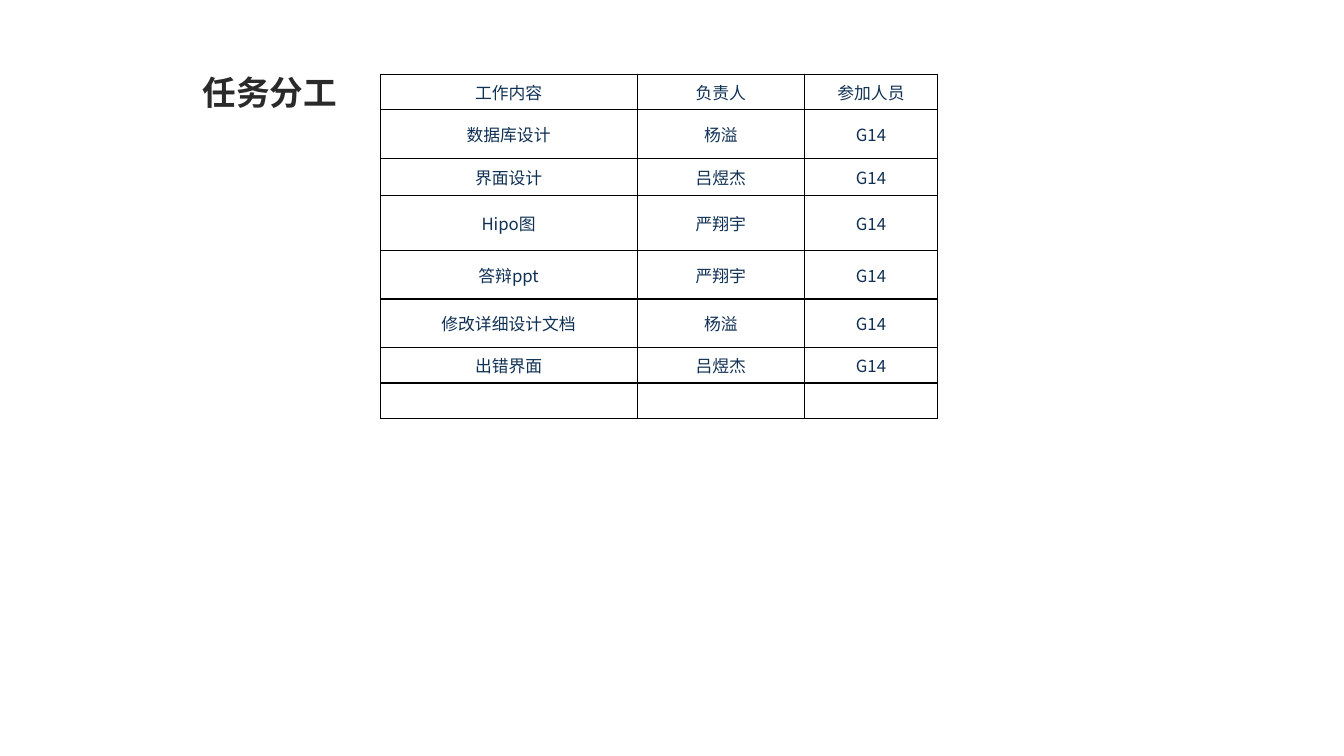
import pptx
import pptx.dml.color
import pptx.enum.text
import pptx.oxml.ns
import pptx.util
from lxml import etree

TEAM = "G14"
HEADINGS = ("工作内容", "负责人", "参加人员")
TASKS = [
    ("数据库设计", "杨溢"),
    ("界面设计", "吕煜杰"),
    ("Hipo图", "严翔宇"),
    ("答辩ppt", "严翔宇"),
    ("修改详细设计文档", "杨溢"),
    ("出错界面", "吕煜杰"),
]
# Shares of the slide's width and height, in percent
COLUMN_SHARES = (19.13, 12.45, 9.9)
ROW_SHARES = (4.7, 6.4, 4.9, 7.33, 6.4, 6.4, 4.7, 4.67)


def colour(code):
    """Turn a hex string into a colour."""
    return pptx.dml.color.RGBColor.from_string(code)


def add_node(parent, tag, **attributes):
    """Append a DrawingML element with the given attributes."""
    return etree.SubElement(parent, pptx.oxml.ns.qn(tag), attributes)


class SlideBuilder:
    """Hold the style and the current slide."""

    title_font, title_size, title_colour = "Noto Sans CJK JP", 24, "2A2A2A"
    table_font, table_size, table_colour = "Noto Sans CJK SC", 12, "103154"
    border_colour, border_width, side_width = "000000", 1, 0.75

    def __init__(self, deck):
        """Add a title-only slide to the deck."""
        self.deck = deck
        self.page = deck.slides.add_slide(deck.slide_layouts[5])

    def across(self, share):
        """Length for a percentage of the slide's width."""
        return round(self.deck.slide_width * share / 100)

    def down(self, share):
        """Length for a percentage of the slide's height."""
        return round(self.deck.slide_height * share / 100)

    def format_text(self, para, align, font, size, code, bold=False):
        """Align a paragraph and format its runs."""
        para.alignment = align
        for span in para.runs:
            span.font.name = font
            span.font.size = pptx.util.Pt(size)
            span.font.bold = bold
            span.font.color.rgb = colour(code)
            add_node(span.font._element, "a:ea", typeface=font)

    def title(self, text, left, top, width, height):
        """Place and format the title placeholder."""
        box = self.page.shapes.title
        box.left, box.top = self.across(left), self.down(top)
        box.width, box.height = self.across(width), self.down(height)
        frame = box.text_frame
        frame.text = text
        frame.word_wrap = False
        frame.auto_size = pptx.enum.text.MSO_AUTO_SIZE.NONE
        frame.vertical_anchor = pptx.enum.text.MSO_ANCHOR.MIDDLE
        self.format_text(frame.paragraphs[0], pptx.enum.text.PP_ALIGN.LEFT,
                         self.title_font, self.title_size, self.title_colour, bold=True)

    def borders(self, cell, thin_sides):
        """Draw the four borders of a cell, thinner on the given sides."""
        properties = cell._tc.get_or_add_tcPr()
        for side in "LRTB":
            width = self.side_width if side in thin_sides else self.border_width
            line = add_node(properties, f"a:ln{side}", w=str(pptx.util.Pt(width)))
            add_node(add_node(line, "a:solidFill"), "a:srgbClr", val=self.border_colour)

    def cell(self, cell, text, thin_sides):
        """Fill in one centred table cell."""
        cell.margin_left = cell.margin_right = cell.margin_top = cell.margin_bottom = 0
        cell.vertical_anchor = pptx.enum.text.MSO_ANCHOR.MIDDLE
        self.borders(cell, thin_sides)
        cell.fill.background()
        cell.text_frame.text = text
        self.format_text(cell.text_frame.paragraphs[0], pptx.enum.text.PP_ALIGN.CENTER,
                         self.table_font, self.table_size, self.table_colour)

    def table(self, records, left, top, column_shares, row_shares):
        """Add a bordered table sized by its column and row shares."""
        frame = self.page.shapes.add_table(
            len(row_shares), len(column_shares), self.across(left), self.down(top),
            self.across(sum(column_shares)), self.down(sum(row_shares)))
        grid = frame.table
        grid.first_row = grid.horz_banding = False
        for column, share in zip(grid.columns, column_shares):
            column.width = self.across(share)
        for row, share, record in zip(grid.rows, row_shares, records):
            row.height = self.down(share)
            for index, text in enumerate(record):
                thin_sides = {0: "L", len(record) - 1: "R"}.get(index, "")
                self.cell(row.cells[index], text, thin_sides)


def main():
    """Build the task assignment slide."""
    deck = pptx.Presentation()
    deck.slide_width = pptx.util.Inches(13.33)
    deck.slide_height = pptx.util.Inches(7.5)
    slide = SlideBuilder(deck)
    slide.title("任务分工", 14.33, 8.8, 11.85, 6.67)
    records = [HEADINGS, *((*task, TEAM) for task in TASKS), ("",) * len(HEADINGS)]
    slide.table(records, 28.28, 9.83, COLUMN_SHARES, ROW_SHARES)
    deck.save("out.pptx")


main()
